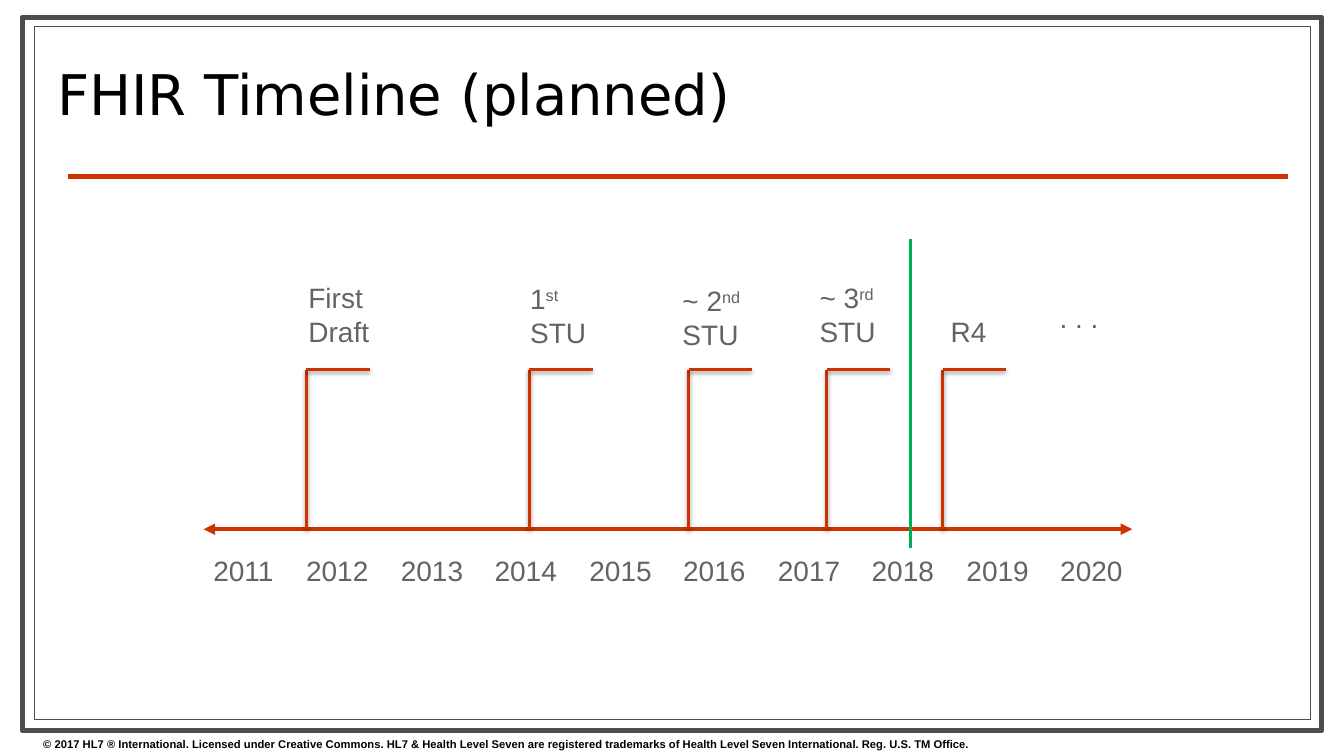
import pptx
import pptx.dml.color
import pptx.enum.shapes
import pptx.enum.text
import pptx.oxml
import pptx.oxml.ns
import pptx.util

RGB = pptx.dml.color.RGBColor
WHITE = RGB(0xFF, 0xFF, 0xFF)
BLACK = RGB(0x00, 0x00, 0x00)
FRAME_GREY = RGB(0x4D, 0x4D, 0x4D)
TEXT_GREY = RGB(0x63, 0x63, 0x60)
RUST = RGB(0xCC, 0x33, 0x00)
GREEN = RGB(0x00, 0xB0, 0x50)

ANCHOR = pptx.enum.text.MSO_ANCHOR
ALIGN = pptx.enum.text.PP_ALIGN
SHAPES = pptx.enum.shapes

PX = 9144  # 100 px to the inch
SLIDE_W, SLIDE_H = 1333, 750

FLAG_SHADOW = (
    '<a:effectLst %s><a:outerShdw blurRad="39370" dist="20320" dir="5400000" rotWithShape="0">'
    '<a:srgbClr val="000000"><a:alpha val="38000"/></a:srgbClr></a:outerShdw></a:effectLst>'
) % pptx.oxml.ns.nsdecls("a")
NO_EFFECT = "<a:effectLst %s/>" % pptx.oxml.ns.nsdecls("a")

# Flag x, label x, label y, label width, label lines as (text, superscript)
MILESTONES = [
    (304, 296, 273, 81, [("First", ""), ("Draft", "")]),
    (525, 516, 274, 76, [("1", "st"), ("STU", "")]),
    (683, 667, 276, 81, [("~ 2", "nd"), ("STU", "")]),
    (820, 803, 273, 84, [("~ 3", "rd"), ("STU", "")]),
    (935, 933, 273, 56, [("R4", "")]),
]


def add_text(slide, box, lines, size=20, font="Arial", color=TEXT_GREY, bold=False,
             wrap=False, align=ALIGN.LEFT, anchor=ANCHOR.TOP, spacing=None):
    """Place lines of (text, superscript) in a box of px lengths."""
    frame = slide.shapes.add_textbox(*(n * PX for n in box)).text_frame
    frame.word_wrap = wrap
    frame.vertical_anchor = anchor
    for i, line in enumerate(lines):
        paragraph = frame.add_paragraph() if i else frame.paragraphs[0]
        paragraph.alignment = align
        paragraph.line_spacing = spacing
        for text, baseline in zip(line, (None, "30000")):
            if not text:
                continue
            run = paragraph.add_run()
            run.text = text
            run.font.size = pptx.util.Pt(size)
            run.font.name = font
            run.font.bold = bold
            run.font.color.rgb = color
            if baseline:
                run.font._element.set("baseline", baseline)


def add_line(slide, start, end, color, weight, arrows=False, effect=NO_EFFECT):
    line = slide.shapes.add_connector(
        SHAPES.MSO_CONNECTOR.STRAIGHT, *(n * PX for n in start + end))
    line.line.color.rgb = color
    line.line.width = pptx.util.Pt(weight)
    if arrows:
        for end_tag in ("a:headEnd", "a:tailEnd"):
            arrow = pptx.oxml.parse_xml(
                '<%s %s type="triangle"/>' % (end_tag, pptx.oxml.ns.nsdecls("a")))
            line.line._get_or_add_ln().append(arrow)
    line._element.spPr.append(pptx.oxml.parse_xml(effect))


def add_frame(slide, box, weight):
    frame = slide.shapes.add_shape(
        SHAPES.MSO_SHAPE.RECTANGLE, *(n * PX for n in box))
    frame.shadow.inherit = False
    frame.fill.solid()
    frame.fill.fore_color.rgb = WHITE
    frame.line.color.rgb = FRAME_GREY
    frame.line.width = pptx.util.Pt(weight)


def draw_border(slide, box):
    """Double frame with the copyright line beneath it."""
    left, top, width, height = box
    add_frame(slide, box, 3.5)
    add_frame(slide, (left + 12, top + 9, width - 23, height - 20), 0.75)
    copyright_line = (
        "© 2017 HL7 ® International. Licensed under Creative Commons. "
        "HL7 & Health Level Seven are registered trademarks of "
        "Health Level Seven International. Reg. U.S. TM Office.")
    add_text(slide, (left + 11, top + height + 2, width, 23), [(copyright_line, "")],
             size=8, color=BLACK, bold=True, wrap=True)


def draw_header(slide, box):
    """Title over a full-width rule."""
    left, top, width, height = box
    add_line(slide, (left + 20, top + height), (left + width, top + height), RUST, 3)
    add_text(slide, (left, top, 955, 126), [("FHIR Timeline (planned)", "")], size=40,
             font="DejaVu Sans", color=BLACK, wrap=True, anchor=ANCHOR.MIDDLE, spacing=0.8)


def draw_milestone(slide, flag_x, axis_y, label_box, lines):
    """Flag standing on the axis, with its label above."""
    flag_top = axis_y - 158
    for end in ((flag_x, axis_y), (flag_x + 63, flag_top)):
        add_line(slide, (flag_x, flag_top), end, RUST, 2, effect=FLAG_SHADOW)
    add_text(slide, label_box, lines, anchor=ANCHOR.BOTTOM)


def draw_timeline(slide, box):
    """Year axis, milestones and the green marker for the present."""
    left, top, width, height = box
    axis_y = top + 288
    add_line(slide, (left, axis_y), (left + width, axis_y), RUST, 2.75, arrows=True)

    # Years, 93.5 px apart
    for i, year in enumerate(range(2011, 2021)):
        add_text(slide, (left - 2 + i * 187 // 2, axis_y + 19, 83, 44),
                 [(str(year), "")], align=ALIGN.CENTER)

    # Milestones
    for flag_x, label_x, label_y, label_w, lines in MILESTONES:
        draw_milestone(slide, flag_x, axis_y, (label_x, label_y, label_w, 77), lines)
    add_text(slide, (left + 839, top + 56, 59, 44), [(". . .", "")])

    # Present
    add_line(slide, (left + 701, top), (left + 701, top + 307), GREEN, 2)


def main():
    deck = pptx.Presentation()
    deck.slide_width, deck.slide_height = SLIDE_W * PX, SLIDE_H * PX
    slide = deck.slides.add_slide(deck.slide_layouts[6])
    draw_border(slide, (22, 17, 1289, 708))
    draw_header(slide, (47, 36, 1230, 139))
    draw_timeline(slide, (202, 237, 921, 351))
    deck.save("out.pptx")


if __name__ == "__main__":
    main()
